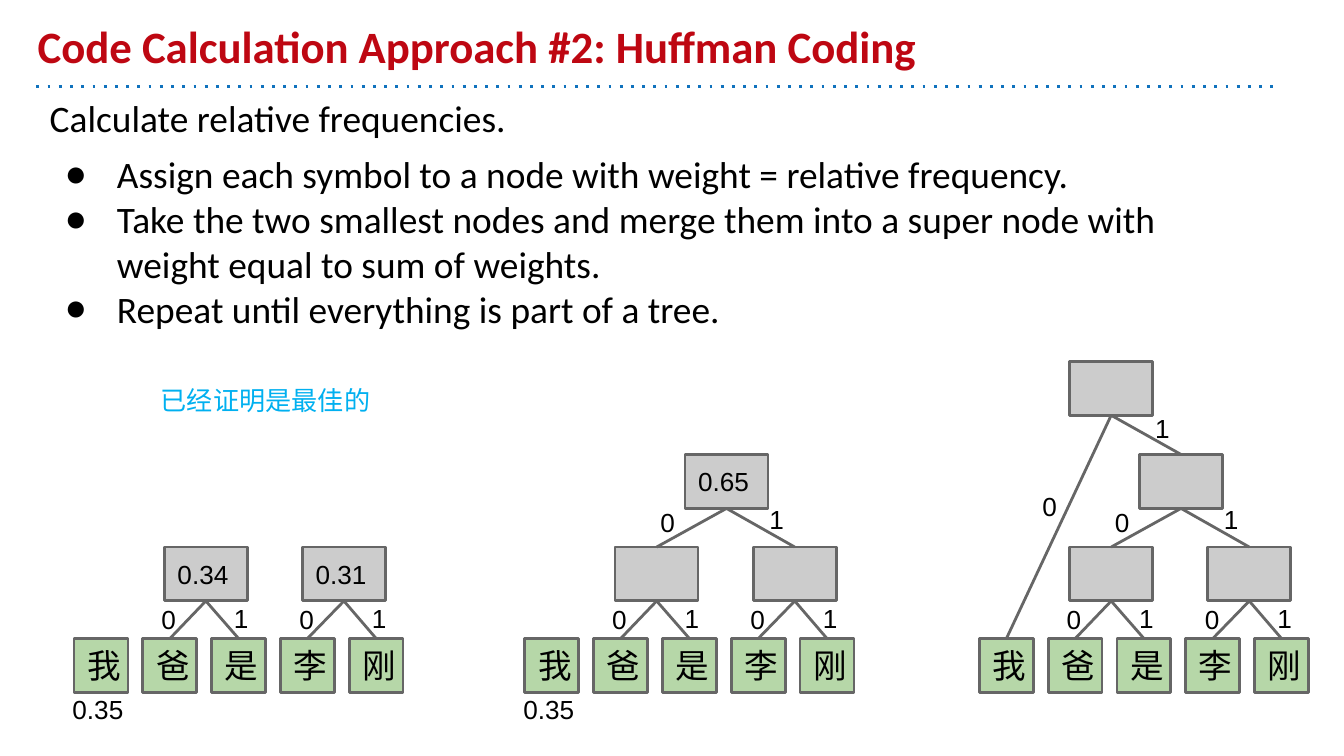
import pptx
import pptx.dml.color
import pptx.enum.dml
import pptx.enum.shapes
import pptx.enum.text
import pptx.oxml.ns
import pptx.util
from lxml import etree

Cm = pptx.util.Cm
Pt = pptx.util.Pt
qn = pptx.oxml.ns.qn
ANCHOR = pptx.enum.text.MSO_ANCHOR

COLORS = {
    "title": "BE0712", "rule": "1072BD", "text": "000000", "note": "00B0F0",
    "leaf": "B6D7A8", "node": "CCCCCC", "outline": "666666",
}

LEAF_ROW, PAIR_ROW, MERGE_ROW, TOP_ROW = 12.07, 10.34, 8.59, 6.83
LEAF_SIZE, LEAF_PITCH = 1.02, 1.3
NODE_WIDTH, NODE_HEIGHT = 1.57, 1.02
SYMBOLS = "我爸是李刚"
PAIR_LABELS = ((-1.09, 0.81), (0.28, 0.79))
MERGE_LABELS = ((-1.5, 0.73), (0.56, 0.68))
TOP_LABELS = ((-1.55, 2.19), (0.58, 0.71))


class SlideBuilder:
    def __init__(self, slide):
        self.slide = slide

    def color(self, name):
        return pptx.dml.color.RGBColor.from_string(COLORS[name])

    def place(self, shape, left, top, width, height):
        shape.left, shape.top = Cm(left), Cm(top)
        shape.width, shape.height = Cm(width), Cm(height)

    def frame(self, shape, anchor):
        frame = shape.text_frame
        frame.word_wrap = True
        frame.auto_size = pptx.enum.text.MSO_AUTO_SIZE.NONE
        frame.vertical_anchor = anchor
        frame.margin_left = frame.margin_right = Cm(0.25)
        frame.margin_top = frame.margin_bottom = Cm(0.25)
        return frame

    def run(self, paragraph, text, size, font="Arial", color="text", bold=False):
        paragraph.alignment = pptx.enum.text.PP_ALIGN.LEFT
        run = paragraph.add_run()
        run.text = text
        run.font.size = Pt(size)
        run.font.name = font
        run.font.bold = bold
        run.font.color.rgb = self.color(color)

    def title(self, text):
        shape = self.slide.shapes.title
        self.place(shape, 0.46, 0.25, 22.86, 1.37)
        frame = self.frame(shape, ANCHOR.BOTTOM)
        self.run(frame.paragraphs[0], text, 24, "Calibri", "title", True)

    def body(self, lead, bullets):
        shape = self.slide.placeholders[1]
        self.place(shape, 0.69, 1.55, 23.44, 6.4)
        frame = self.frame(shape, ANCHOR.TOP)
        for index, text in enumerate([lead] + bullets):
            paragraph = frame.add_paragraph() if index else frame.paragraphs[0]
            self.run(paragraph, text, 20, "Calibri")
            paragraph.space_before = Pt(6 if index < 2 else 0)
            properties = paragraph._p.get_or_add_pPr()
            properties.set("marL", str(Cm(1.27) if index else 0))
            properties.set("indent", str(Cm(-0.99) if index else 0))
            if index:
                bullet_color = etree.SubElement(properties, qn("a:buClr"))
                etree.SubElement(bullet_color, qn("a:srgbClr"), val=COLORS["text"])
                etree.SubElement(properties, qn("a:buChar"), char="●")
            else:
                etree.SubElement(properties, qn("a:buNone"))

    def text(self, text, left, top, width, height, anchor=ANCHOR.TOP, color="text"):
        shape = self.slide.shapes.add_textbox(Cm(left), Cm(top), Cm(width), Cm(height))
        frame = self.frame(shape, anchor)
        self.run(frame.paragraphs[0], text, 14, color=color)
        return frame

    def box(self, text, left, top, width, height, fill, size):
        shape = self.slide.shapes.add_shape(
            pptx.enum.shapes.MSO_SHAPE.RECTANGLE, Cm(left), Cm(top), Cm(width), Cm(height))
        shape.shadow.inherit = False
        shape.fill.solid()
        shape.fill.fore_color.rgb = self.color(fill)
        shape.line.color.rgb = self.color("outline")
        shape.line.width = Pt(1.5)
        if text:
            frame = self.frame(shape, ANCHOR.MIDDLE)
            self.run(frame.paragraphs[0], text, size)

    def line(self, start, end, color="outline", dotted=False):
        connector = self.slide.shapes.add_connector(
            pptx.enum.shapes.MSO_CONNECTOR.STRAIGHT,
            Cm(start[0]), Cm(start[1]), Cm(end[0]), Cm(end[1]))
        connector.line.color.rgb = self.color(color)
        connector.line.width = Pt(1.5)
        if dotted:
            connector.line.dash_style = pptx.enum.dml.MSO_LINE.ROUND_DOT
            connector._element.find(".//" + qn("a:prstDash")).set("val", "dot")
        etree.SubElement(connector._element.spPr, qn("a:effectLst"))

    def node(self, weight, center, top, children, labels):
        self.box(weight, center - NODE_WIDTH / 2, top, NODE_WIDTH, NODE_HEIGHT, "node", 14)
        for bit, (child, (offset, drop)) in enumerate(zip(children, labels)):
            self.line((center, top + NODE_HEIGHT), child)
            self.text(str(bit), center + offset, top + drop, 0.69, 0.81)

    def tree(self, left, weights, merges):
        leaves = []
        for index, symbol in enumerate(SYMBOLS):
            leaf_left = left + index * LEAF_PITCH
            self.box(symbol, leaf_left, LEAF_ROW, LEAF_SIZE, LEAF_SIZE, "leaf", 18)
            leaves.append((leaf_left + LEAF_SIZE / 2, LEAF_ROW))
        if "leaf" in weights:
            self.text(weights["leaf"], left - 0.28, 12.9, 1.57, 1.02, ANCHOR.MIDDLE)

        first, second, merged, top = left + 2.49, left + 5.1, left + 3.81, left + 2.49
        self.node(weights.get("first"), first, PAIR_ROW, leaves[1:3], PAIR_LABELS)
        self.node(weights.get("second"), second, PAIR_ROW, leaves[3:5], PAIR_LABELS)
        if merges > 2:
            pairs = ((first, PAIR_ROW), (second, PAIR_ROW))
            self.node(weights.get("merged"), merged, MERGE_ROW, pairs, MERGE_LABELS)
        if merges > 3:
            self.node(None, top, TOP_ROW, (leaves[0], (merged, MERGE_ROW)), TOP_LABELS)


def main():
    presentation = pptx.Presentation()
    presentation.slide_width, presentation.slide_height = Cm(25.4), Cm(14.29)
    builder = SlideBuilder(presentation.slides.add_slide(presentation.slide_layouts[1]))

    builder.line((0.69, 1.63), (24.13, 1.63), "rule", dotted=True)
    builder.title("Code Calculation Approach #2: Huffman Coding")
    builder.body("Calculate relative frequencies.", [
        "Assign each symbol to a node with weight = relative frequency.",
        "Take the two smallest nodes and merge them into a super node with "
        "weight equal to sum of weights.",
        "Repeat until everything is part of a tree.",
    ])

    builder.tree(1.4, {"leaf": "0.35", "first": "0.34", "second": "0.31"}, 2)
    builder.tree(9.92, {"leaf": "0.35", "merged": "0.65"}, 3)
    builder.tree(18.51, {}, 4)

    note = builder.text("已经证明是最佳的", 2.79, 7.14, 6.35, 0.86, color="note")
    note.margin_top = note.margin_bottom = Cm(0.13)

    presentation.save("out.pptx")


if __name__ == "__main__":
    main()
